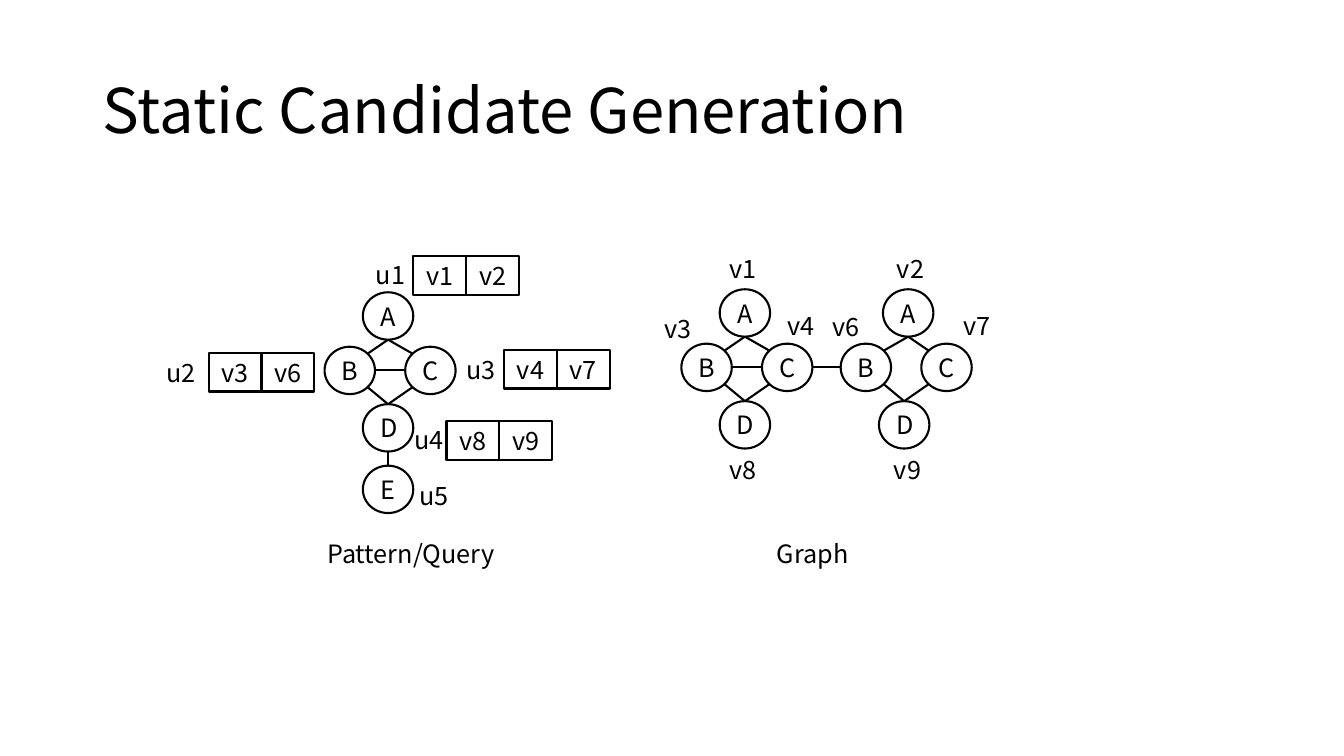
from math import sqrt

from pptx import Presentation
from pptx import util as u
from pptx.dml.color import RGBColor
from pptx.enum import shapes, text
from pptx.oxml.ns import qn

BLACK = RGBColor(0, 0, 0)
WHITE = RGBColor(255, 255, 255)
FONT = "Noto Sans CJK SC"

# All lengths are counted in grid units of a tenth of an inch.
SLIDE = (133.33, 75)
NODE = (5, 4.7)
CELL = (5.25, 3.85)
LABEL = (6.2, 4)
CAPTION = (18.6, 4)


def grid(*counts):
    return [u.Inches(count / 10) for count in counts]


def write(frame, words, size=18):
    paragraph = frame.paragraphs[0]
    run = paragraph.add_run()
    run.text = words
    run.font.name = FONT
    run.font.size = u.Pt(size)
    run.font.color.rgb = BLACK
    return paragraph


def add_outlined(group, kind, place, size, words):
    """Add a white, black-edged shape with centred words."""
    outlined = group.shapes.add_shape(kind, *grid(*place, *size))
    outlined.shadow.inherit = False
    outlined.fill.solid()
    outlined.fill.fore_color.rgb = WHITE
    outlined.line.color.rgb = BLACK
    outlined.line.width = u.Pt(1.5)
    outlined.text_frame.vertical_anchor = text.MSO_ANCHOR.MIDDLE
    write(outlined.text_frame, words).alignment = text.PP_ALIGN.CENTER


def add_node(group, place, letter):
    add_outlined(group, shapes.MSO_SHAPE.OVAL, place, NODE, letter)


def rim(place, across, down):
    """Point on a node's rim in the direction (-1, 0 or 1 on each axis)."""
    reach = 1 / sqrt(across ** 2 + down ** 2)
    return (place[0] + NODE[0] / 2 * (1 + across * reach),
            place[1] + NODE[1] / 2 * (1 + down * reach))


def add_edge(group, start, end):
    edge = group.shapes.add_connector(
        shapes.MSO_CONNECTOR.STRAIGHT, *grid(*start, *end))
    edge.line.color.rgb = BLACK
    edge.line.width = u.Pt(1.5)
    properties = edge._element.spPr
    properties.append(properties.makeelement(qn("a:effectLst"), {}))


def add_diamond(group, left, top, apex_shift=0, crossed=True):
    """Add nodes A to D with their edges and return their places."""
    nodes = {
        "A": (left + apex_shift, top),
        "B": (left - 3.8, top + 5.4),
        "C": (left + 4.2, top + 5.4),
        "D": (left, top + 11.1),
    }
    for letter, place in nodes.items():
        add_node(group, place, letter)
    for side, inward in (("B", 1), ("C", -1)):
        add_edge(group, rim(nodes["A"], 0, 1), rim(nodes[side], inward, -1))
        add_edge(group, rim(nodes[side], inward, 1), rim(nodes["D"], 0, -1))
    if crossed:
        add_edge(group, rim(nodes["B"], 1, 0), rim(nodes["C"], -1, 0))
    return nodes


def add_label(group, place, words, size=LABEL):
    label = group.shapes.add_textbox(*grid(*place, *size))
    label.text_frame.word_wrap = True
    label.text_frame.auto_size = text.MSO_AUTO_SIZE.SHAPE_TO_FIT_TEXT
    write(label.text_frame, words)


def add_candidates(group, place, vertices):
    for column, vertex in enumerate(vertices):
        cell = (place[0] + column * CELL[0], place[1])
        add_outlined(group, shapes.MSO_SHAPE.RECTANGLE, cell, CELL, vertex)


def add_graph(slide):
    graph = slide.shapes.add_group_shape()
    first = add_diamond(graph, 71.4, 28.7)
    second = add_diamond(graph, 87.2, 28.7, apex_shift=0.4, crossed=False)
    add_edge(graph, rim(first["C"], 1, 0), rim(second["B"], -1, 0))
    labels = {
        "v1": (71.4, 24.6), "v2": (88, 24.6),
        "v3": (64.9, 30.6), "v4": (77.1, 30.3),
        "v6": (81.6, 30.4), "v7": (94.6, 30.3),
        "v8": (71.4, 44.6), "v9": (87.7, 44.6),
    }
    for vertex, place in labels.items():
        add_label(graph, place, vertex)
    add_label(graph, (76.1, 52.9), "Graph", CAPTION)


def add_pattern(slide):
    pattern = slide.shapes.add_group_shape()
    nodes = add_diamond(pattern, 36, 29)
    tail = (36, 46.2)
    add_node(pattern, tail, "E")
    add_edge(pattern, rim(nodes["D"], 0, 1), rim(tail, 0, -1))
    labels = {
        "u1": (36.3, 25.2), "u2": (15.5, 35), "u3": (45.3, 34.7),
        "u4": (40.1, 41.6), "u5": (40.6, 47.2),
    }
    for vertex, place in labels.items():
        add_label(pattern, place, vertex)
    add_label(pattern, (31.5, 52.9), "Pattern/Query", CAPTION)
    add_candidates(pattern, (41, 25.4), ("v1", "v2"))
    add_candidates(pattern, (20.7, 35), ("v3", "v6"))
    add_candidates(pattern, (50, 34.7), ("v4", "v7"))
    add_candidates(pattern, (44.3, 41.8), ("v8", "v9"))


def set_title(slide, words):
    title = slide.shapes.title
    title.left, title.top, title.width, title.height = grid(9.2, 4, 115, 14.5)
    title.text_frame.vertical_anchor = text.MSO_ANCHOR.MIDDLE
    heading = write(title.text_frame, words, 44)
    heading.alignment = text.PP_ALIGN.LEFT
    heading.line_spacing = 0.9


def main():
    deck = Presentation()
    deck.slide_width, deck.slide_height = grid(*SLIDE)
    slide = deck.slides.add_slide(deck.slide_layouts.get_by_name("Title Only"))
    set_title(slide, "Static Candidate Generation")
    add_graph(slide)
    add_pattern(slide)
    deck.save("out.pptx")


if __name__ == "__main__":
    main()
